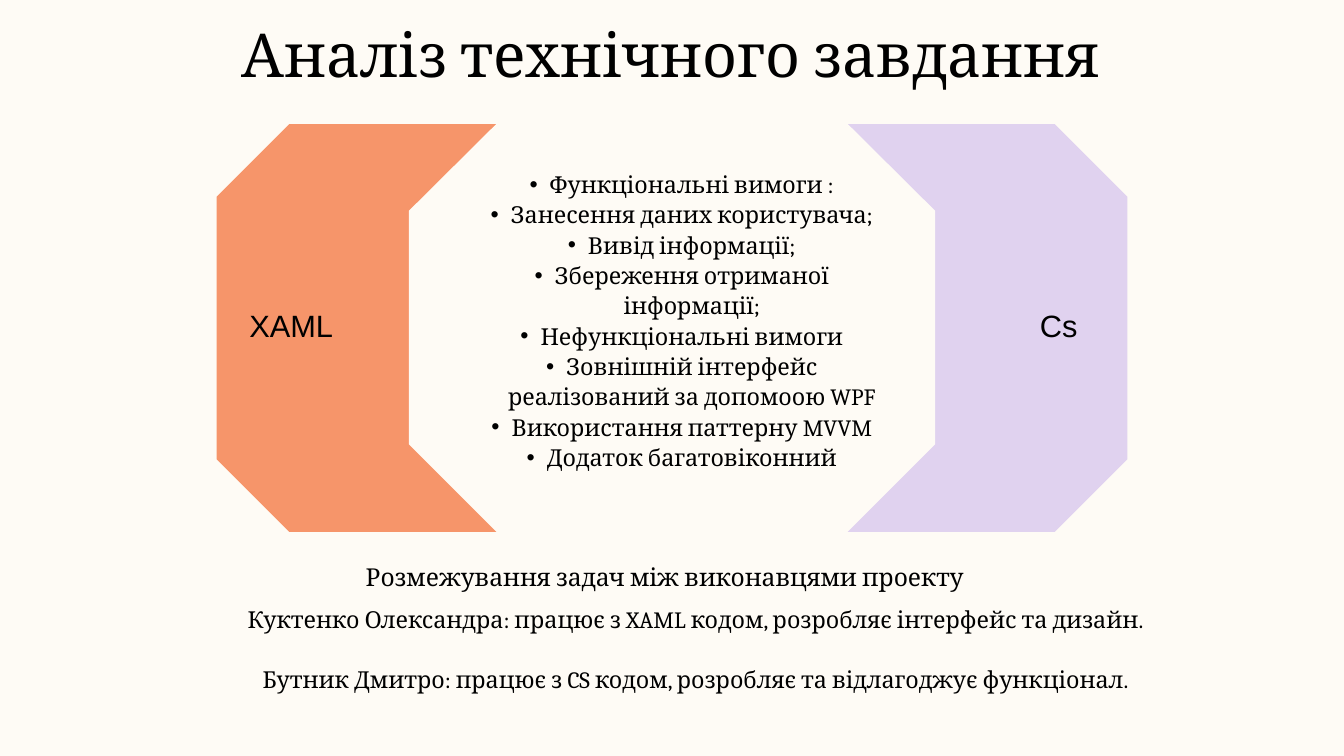
from lxml import etree
from pptx import Presentation
from pptx.dml.color import RGBColor
from pptx.enum import text as t
from pptx.oxml.ns import qn
from pptx.util import Pt

THEME = dict(
    back="FEFBF5", ink="000000", left="F6956A", right="E0D2EF",
    serif="Cambria", sans="Arial", title=65, label=33, head=26.4, body=25,
)
TITLE = ["Аналіз технічного завдання"]
NEEDS = [
    "Функціональні вимоги :",
    "Занесення даних користувача;",
    "Вивід інформації;",
    "Збереження отриманої інформації;",
    "Нефункціональні вимоги",
    "Зовнішній інтерфейс реалізований за допомоою WPF",
    "Використання паттерну MVVM",
    "Додаток багатовіконний",
]
SPLIT = ["Розмежування задач між виконавцями проекту"]
TASKS = [
    "Куктенко Олександра: працює з XAML кодом, розробляє інтерфейс та дизайн.",
    "Бутник Дмитро: працює з CS кодом, розробляє та відлагоджує функціонал.",
]
# Octagons, back to front: left, top, width, height, corner cut, fill
PLATES = [
    (231.8, 133.2, 558.7, 437, 77.9, "left"),
    (651.6, 133.2, 556.6, 437, 77.9, "right"),
    (438.5, 75.6, 563, 551.5, 150.8, "back"),
]
# Text on each octagon: lines, box, format
LABELS = [
    (["XAML"], (262.8, 154.8, 496.8, 384.5),
     dict(size="label", font="sans", step=42.9)),
    (["Cs"], (682.6, 154.8, 494.6, 384.5),
     dict(size="label", font="sans", step=42.9, align="RIGHT",
          pad=(4.3, 4.3, 22.6, 4.3))),
    (NEEDS, (478.8, 97.9, 482.4, 488.9),
     dict(step=32.5, align="CENTER", bullet="•")),
]


def color(name):
    return RGBColor.from_string(THEME[name])


def add_plate(slide, x, y, w, h, cut, fill):
    r, b = x + w, y + h
    pts = [(r - cut, y), (x + cut, y), (x, y + cut), (x, b - cut),
           (x + cut, b), (r - cut, b), (r, b - cut), (r, y + cut)]
    pen = slide.shapes.build_freeform(*pts[0], scale=Pt(1))
    pen.add_line_segments(pts[1:], close=True)
    plate = pen.convert_to_shape()
    plate.shadow.inherit = False
    plate.fill.solid()
    plate.fill.fore_color.rgb = color(fill)
    plate.line.fill.background()


def add_bullet(para, mark):
    para.level = 1
    props = para._p.get_or_add_pPr()
    props.set("marL", str(Pt(42.5)))
    props.set("indent", str(Pt(-21.6)))
    etree.SubElement(props, qn("a:buFont")).set("typeface", "Arial")
    etree.SubElement(props, qn("a:buChar")).set("char", mark)


def add_text(slide, lines, box, size="body", font="serif", step=35,
             align="LEFT", anchor="TOP", pad=(0, 0, 0, 0), gap=0, bullet=None):
    """Write one paragraph per line; step is line pitch, gap the space between."""
    frame = slide.shapes.add_textbox(*map(Pt, box)).text_frame
    frame.word_wrap = True
    frame.vertical_anchor = t.MSO_ANCHOR[anchor]
    (frame.margin_left, frame.margin_top,
     frame.margin_right, frame.margin_bottom) = map(Pt, pad)
    for i, line in enumerate(lines):
        para = frame.add_paragraph() if i else frame.paragraphs[0]
        para.alignment = t.PP_ALIGN[align]
        para.line_spacing = Pt(step)
        if i and gap:
            para.space_before = Pt(gap)
        if bullet:
            add_bullet(para, bullet)
        run = para.add_run()
        run.text = line
        run.font.size = Pt(THEME[size])
        run.font.name = THEME[font]
        run.font.color.rgb = color("ink")


def main():
    deck = Presentation()
    deck.slide_width, deck.slide_height = Pt(1440), Pt(810)
    slide = deck.slides.add_slide(deck.slide_layouts[6])
    slide.background.fill.solid()
    slide.background.fill.fore_color.rgb = color("back")

    for plate, (lines, box, form) in zip(PLATES, LABELS):
        add_plate(slide, *plate)
        add_text(slide, lines, box, **{"anchor": "MIDDLE", "pad": (4.3,) * 4, **form})

    add_text(slide, TITLE, (259.2, 18, 1150.6, 78.5), size="title", step=78)
    add_text(slide, SPLIT, (361.4, 596.9, 702, 35.3), size="head", step=36.9,
             align="CENTER")
    add_text(slide, TASKS, (33.1, 643, 1424.2, 139), align="CENTER", gap=29.4)
    deck.save("out.pptx")


if __name__ == "__main__":
    main()
